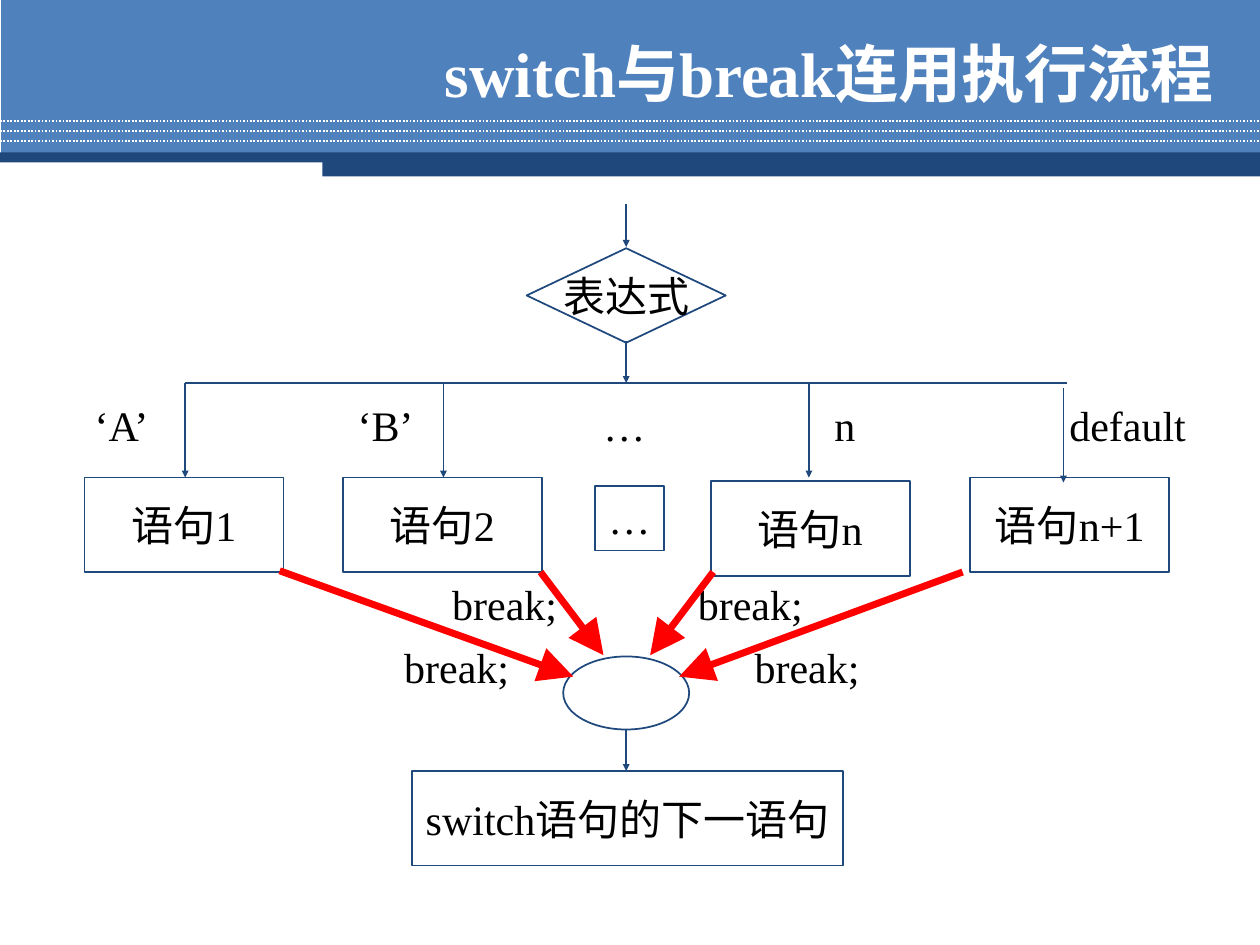
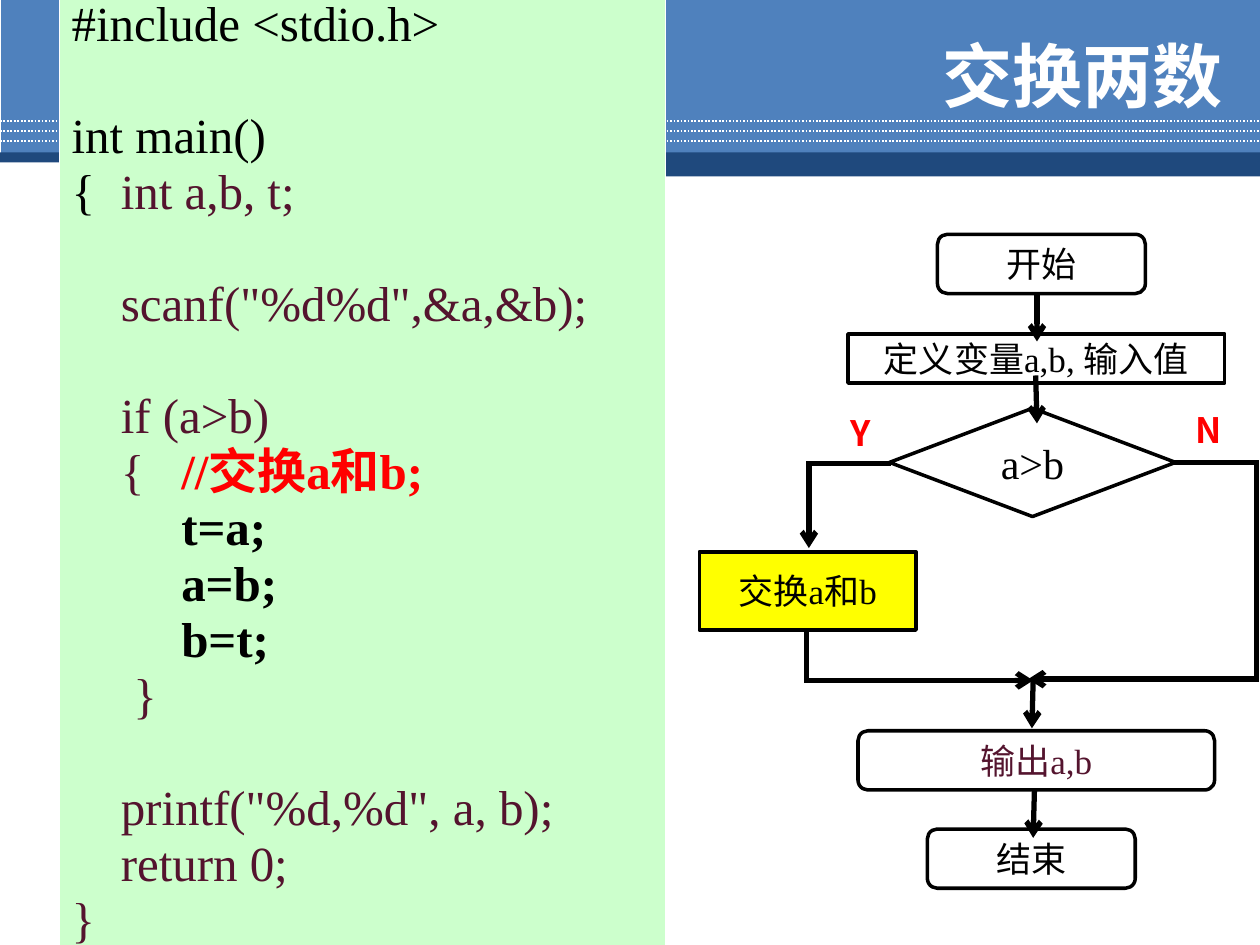
from dataclasses import dataclass
from itertools import pairwise

from pptx import Presentation
from pptx.dml.color import RGBColor
from pptx.enum.dml import MSO_LINE
from pptx.enum.shapes import MSO_CONNECTOR, MSO_SHAPE
from pptx.enum.text import MSO_ANCHOR, PP_ALIGN
from pptx.oxml.ns import qn
from pptx.util import Inches, Pt

RECT = MSO_SHAPE.RECTANGLE
DIAMOND = MSO_SHAPE.DIAMOND
OVAL = MSO_SHAPE.OVAL
ROUND = MSO_SHAPE.FLOWCHART_ALTERNATE_PROCESS
STEP = MSO_SHAPE.FLOWCHART_PROCESS
TEST = MSO_SHAPE.FLOWCHART_DECISION
STRAIGHT = MSO_CONNECTOR.STRAIGHT
DOTS = MSO_LINE.ROUND_DOT
TOP, MIDDLE = MSO_ANCHOR.TOP, MSO_ANCHOR.MIDDLE
LEFT, CENTER, RIGHT = PP_ALIGN.LEFT, PP_ALIGN.CENTER, PP_ALIGN.RIGHT


@dataclass(frozen=True)
class Theme:
    blue: str = "4F81BD"
    navy: str = "1F497D"
    white: str = "FFFFFF"
    black: str = "000000"
    red: str = "FF0000"
    plum: str = "54142E"
    mint: str = "CCFFCC"
    yellow: str = "FFFF00"
    serif: str = "Times New Roman"
    sans: str = "Arial"
    asian: str = "Noto Sans CJK SC"
    small: int = 20
    body: int = 24
    code: int = 28
    title: int = 36
    large: int = 40
    pitch: int = 32


T = Theme()


def rgb(code):
    return RGBColor.from_string(code)


def style(run, size, color, face=T.serif, bold=False):
    font = run.font
    font.size, font.bold, font.name = Pt(size), bold, face
    font.color.rgb = rgb(color)
    props = run._r.get_or_add_rPr()
    asian = props.makeelement(qn("a:ea"), {"typeface": T.asian})
    props.find(qn("a:latin")).addnext(asian)


def write(shape, text, size=T.body, color=T.black, face=T.serif, bold=False,
          align=CENTER, anchor=MIDDLE):
    """Put one unwrapped line of text into a shape or text box."""
    frame = shape.text_frame
    frame.word_wrap = False
    frame.vertical_anchor = anchor
    frame.text = text
    para = frame.paragraphs[0]
    para.alignment = align
    style(para.runs[0], size, color, face, bold)


def box(slide, kind, at, fill=None, line=None, width=1.0):
    shape = slide.shapes.add_shape(kind, *map(Inches, at))
    shape.shadow.inherit = False
    if fill:
        shape.fill.solid()
        shape.fill.fore_color.rgb = rgb(fill)
    else:
        shape.fill.background()
    if line:
        shape.line.color.rgb = rgb(line)
        shape.line.width = Pt(width)
    else:
        shape.line.fill.background()
    return shape


def label(slide, text, at, **look):
    area = slide.shapes.add_textbox(*map(Inches, at))
    write(area, text, **look)


def link(slide, start, end, color=T.navy, width=1.0, tip=None, scale="med",
         dash=None):
    """Draw a straight line, with an arrowhead at its end if tip is given."""
    line = slide.shapes.add_connector(STRAIGHT, *map(Inches, (*start, *end)))
    line.line.color.rgb = rgb(color)
    line.line.width = Pt(width)
    if dash:
        line.line.dash_style = dash
    props = line._element.spPr
    stroke = props.find(qn("a:ln"))
    if tip:
        head = {"type": tip, "w": scale, "len": scale}
        stroke.append(stroke.makeelement(qn("a:tailEnd"), head))
    props.append(props.makeelement(qn("a:effectLst"), {}))
    return stroke


def route(slide, *stops, tip="arrow"):
    """Join the stops with thick lines; only the last one has a tip."""
    legs = list(pairwise(stops))
    for leg in legs:
        last = leg == legs[-1]
        stroke = link(slide, *leg, T.black, 3, tip if last else None)
        if len(legs) > 1:
            stroke.set("cap", "sq")


def banner(slide):
    box(slide, RECT, (0.01, 0, 9.99, 1.23), T.blue)
    for row in range(3):
        y = 0.96 + 0.08 * row
        link(slide, (0, y), (10, y), T.white, dash=DOTS)
    box(slide, RECT, (0, 1.21, 10, 0.08), T.navy)
    box(slide, RECT, (2.56, 1.24, 7.44, 0.16), T.navy)


def title(slide, text, at, **look):
    label(slide, text, at, color=T.white, bold=True, align=RIGHT, **look)


def node(slide, text, at, kind=RECT, anchor=MIDDLE):
    write(box(slide, kind, at, line=T.navy), text, anchor=anchor)


def stage(slide, text, at, kind, fill=None, size=T.small, **look):
    shape = box(slide, kind, at, fill, T.black, 2)
    write(shape, text, size=size, **look)


def listing(slide, at, lines):
    """Fill a panel with code; a line is (indent, hang, gap, runs)."""
    frame = box(slide, RECT, at, T.mint, T.white, 0.75).text_frame
    frame.word_wrap = True
    frame.vertical_anchor = MIDDLE
    for row, (indent, hang, gap, runs) in enumerate(lines):
        para = frame.add_paragraph() if row else frame.paragraphs[0]
        para.alignment = LEFT
        para.line_spacing = Pt(T.pitch)
        para.space_before = Pt(T.pitch if gap else 0)
        props = para._p.get_or_add_pPr()
        props.set("marL", str(Inches(indent + hang)))
        props.set("indent", str(-Inches(hang)))
        for text, color, bold in runs:
            run = para.add_run()
            run.text = text
            style(run, T.code, color, bold=bold)


def switch(slide):
    banner(slide)
    title(slide, "switch与break连用执行流程", (2.81, 0.28, 6.92, 0.58),
          size=T.title)
    mid, rail, top, wide, high = 4.97, 3.04, 3.79, 1.58, 0.75
    node(slide, "表达式", (4.18, 1.97, wide, high), DIAMOND)
    link(slide, (1.47, rail), (8.47, rail))
    for start, end in ((1.62, 1.96), (2.71, rail), (5.79, 6.12)):
        link(slide, (mid, start), (mid, end), tip="triangle", scale="sm")
    for x, drop in ((1.47, 0), (3.52, 0), (6.42, 0), (8.44, 0.04)):
        link(slide, (x, rail + drop), (x, top + drop), tip="triangle",
             scale="sm")

    for text, x, y in (("语句1", 0.67, top), ("语句2", 2.72, top),
                       ("语句n", 5.64, 3.82), ("语句n+1", 7.7, top)):
        node(slide, text, (x, y, wide, high))
    node(slide, "…", (4.72, 3.86, 0.55, 0.51), anchor=TOP)
    node(slide, "switch语句的下一语句", (3.27, 6.12, 3.42, high))
    box(slide, OVAL, (4.47, 5.21, 1, 0.58), line=T.navy)

    for text, x, width in (("‘A’", 0.51, 0.91), ("‘B’", 2.64, 0.84),
                           ("…", 4.69, 0.53), ("n", 6.52, 0.37),
                           ("default", 8.3, 1.3)):
        label(slide, text, (x, 3.12, width, 0.5), anchor=TOP)
    for x, y in ((3.06, 5.04), (3.44, 4.54), (5.39, 4.54), (5.84, 5.04)):
        label(slide, "break;", (x, y, 1.13, 0.5), anchor=TOP)
    for start, end in (((7.64, 4.54), (5.39, 5.37)),
                       ((5.66, 4.54), (5.16, 5.2)),
                       ((2.22, 4.53), (4.55, 5.37)),
                       ((4.29, 4.54), (4.79, 5.2))):
        link(slide, start, end, T.red, 4, "triangle", "lg")


def swap(slide):
    banner(slide)

    def line(text, indent=0.0, gap=False, color=T.plum, bold=False):
        return indent, 0, gap, [(text, color, bold)]

    step, deep = 0.39, 0.87
    listing(slide, (0.47, -0.05, 4.81, 7.58), [
        line("#include <stdio.h>", color=T.black),
        line("int main()", gap=True, color=T.black),
        (0, step, False, [("{\t", T.black, False),
                          ("int a,b, t;", T.plum, False)]),
        line('scanf("%d%d",&a,&b);', step, True),
        line("if (a>b)", step, True),
        (step, deep - step, False, [("{\t", T.plum, False),
                                    ("//交换a和b;", T.red, True)]),
        *(line(text, deep, color=T.black, bold=True)
          for text in ("t=a;", "a=b;", "b=t;")),
        line("}", 0.49),
        line('printf("%d,%d", a, b);', step, True),
        line("return 0;", step),
        line("}"),
    ])

    stage(slide, "开始", (7.44, 1.86, 1.65, 0.47), ROUND, face=T.sans)
    route(slide, (8.23, 2.33), (8.23, 2.71))
    stage(slide, "a>b", (7.06, 3.24, 2.27, 0.86), TEST, size=T.body)
    route(slide, (7.05, 3.68), (6.42, 3.68), (6.42, 4.35))
    stage(slide, "交换a和b", (5.55, 4.38, 1.72, 0.62), STEP, T.yellow)
    route(slide, (6.4, 5.01), (6.4, 5.4), (8.2, 5.4))
    route(slide, (9.34, 3.67), (9.97, 3.67), (9.97, 5.39), (8.16, 5.39))
    route(slide, (8.2, 5.4), (8.19, 5.78))
    stage(slide, "输出a,b", (6.81, 5.8, 2.83, 0.47), ROUND, color=T.plum)
    for text, x, y in (("N", 9.19, 3.19), ("Y", 6.43, 3.22)):
        label(slide, text, (x, y, 0.8, 0.43), size=T.small, color=T.red,
              face=T.asian, bold=True, anchor=TOP)
    stage(slide, "定义变量a,b, 输入值", (6.73, 2.65, 2.99, 0.39), STEP)
    route(slide, (8.22, 2.98), (8.23, 3.36))
    stage(slide, "结束", (7.36, 6.58, 1.65, 0.47), ROUND, face=T.sans)
    route(slide, (8.21, 6.27), (8.2, 6.65))
    title(slide, "交换两数", (6.89, 0.21, 2.91, 0.79), size=T.large,
          face=T.sans, anchor=TOP)


def main():
    deck = Presentation()
    deck.slide_width, deck.slide_height = Inches(10), Inches(7.5)
    blank = deck.slide_layouts[6]
    for draw in (switch, swap):
        draw(deck.slides.add_slide(blank))
    deck.save("out.pptx")


if __name__ == "__main__":
    main()
